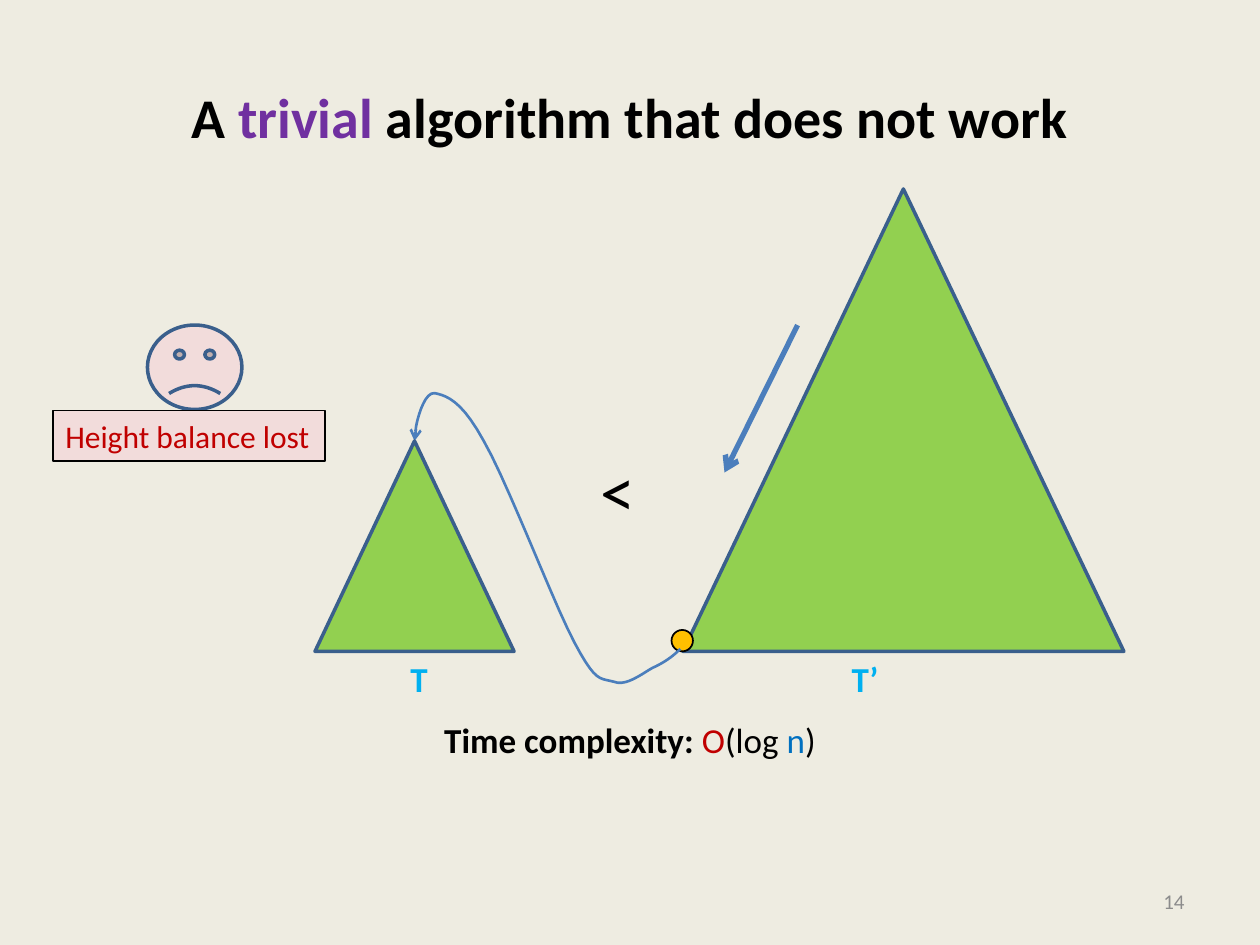
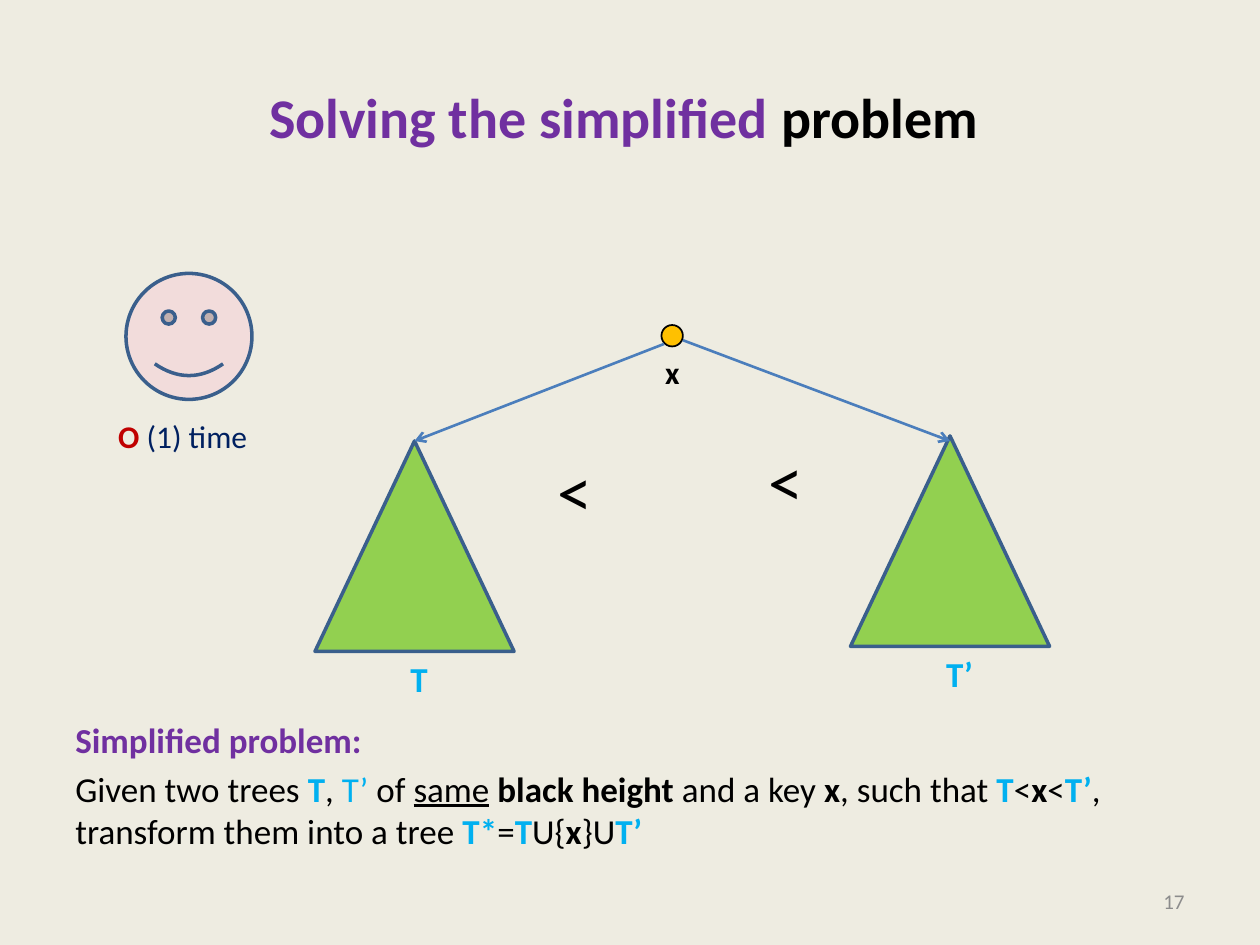
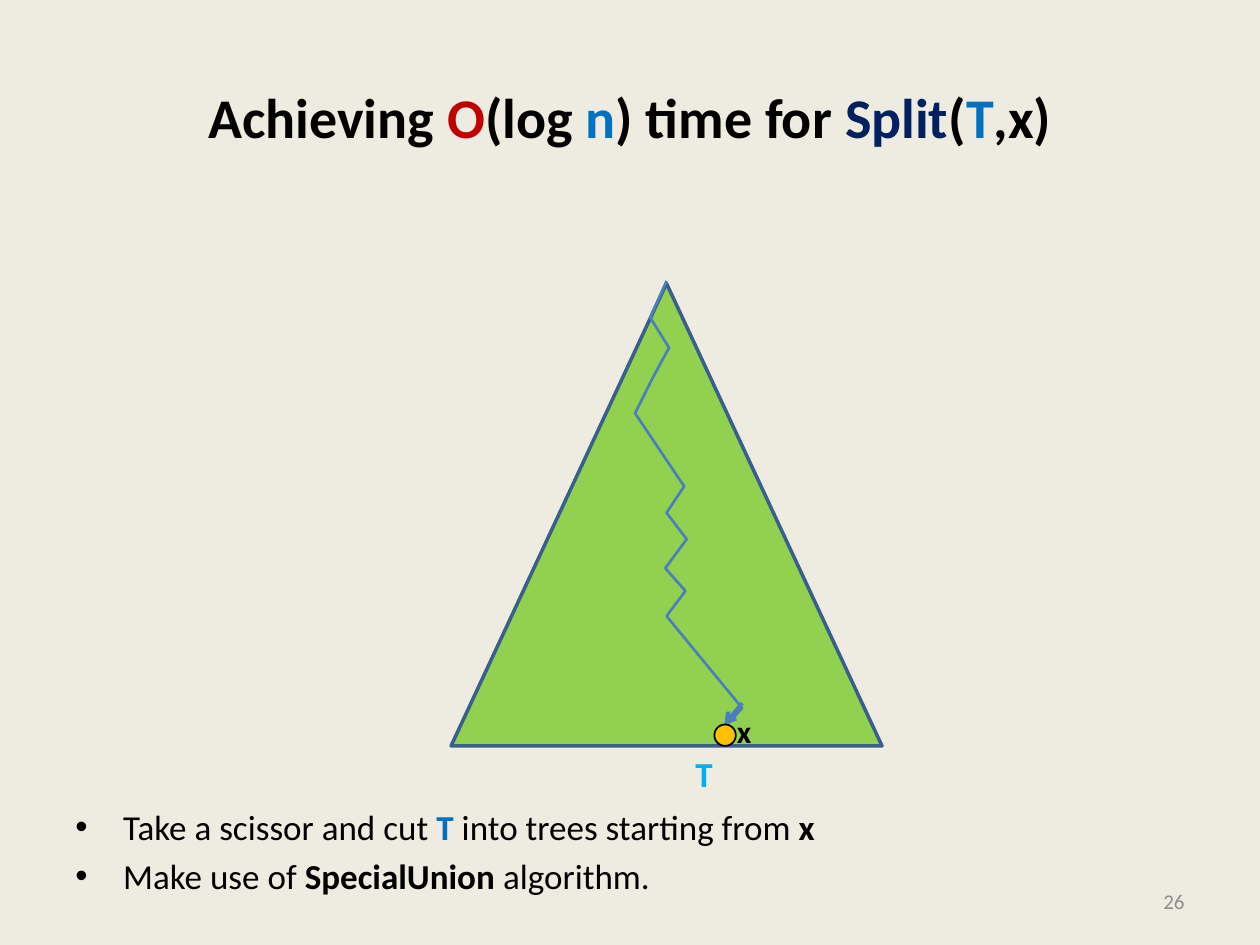
from pptx import Presentation
from pptx.dml.color import RGBColor
from pptx.enum.shapes import MSO_CONNECTOR, MSO_SHAPE
from pptx.enum.text import MSO_ANCHOR, PP_ALIGN
from pptx.oxml.ns import qn
from pptx.util import Inches, Pt
from lxml import etree

# Shared look
FONT = "Calibri"
BACKGROUND = RGBColor(0xEE, 0xEC, 0xE1)
BLACK = RGBColor(0, 0, 0)
GRAY = RGBColor(0x8C, 0x8C, 0x8C)
PURPLE = RGBColor(0x70, 0x30, 0xA0)
RED = RGBColor(0xC0, 0, 0)
BLUE = RGBColor(0, 0x70, 0xC0)
SKY = RGBColor(0, 0xB0, 0xF0)
NAVY = RGBColor(0, 0x20, 0x60)
GREEN = RGBColor(0x92, 0xD0, 0x50)
GOLD = RGBColor(0xFF, 0xC0, 0)
PINK = RGBColor(0xF2, 0xDC, 0xDB)
OUTLINE = RGBColor(0x3A, 0x5F, 0x8C)
ARROW = RGBColor(0x4B, 0x7E, 0xBC)

TRIANGLE, OVAL, SMILEY = MSO_SHAPE.ISOSCELES_TRIANGLE, MSO_SHAPE.OVAL, MSO_SHAPE.SMILEY_FACE
STRAIGHT = MSO_CONNECTOR.STRAIGHT
LEFT, CENTER, RIGHT = PP_ALIGN.LEFT, PP_ALIGN.CENTER, PP_ALIGN.RIGHT
TOP, MIDDLE = MSO_ANCHOR.TOP, MSO_ANCHOR.MIDDLE

SMALL_TREE = (1.58, 1.67)
DOT = 0.17
BULLET_INDENT = 0.38

# Content: a run is (text, colour, style), style letters b = bold, u = underlined
TRIVIAL_TITLE = [("A ", BLACK, "b"), ("trivial", PURPLE, "b"),
                 (" algorithm that does not work", BLACK, "b")]
SIMPLIFIED_TITLE = [("Solving the simplified", PURPLE, "b"), (" problem ", BLACK, "b")]
SPLIT_TITLE = [("Achieving ", BLACK, "b"), ("O", RED, "b"), ("(log ", BLACK, "b"),
               ("n", BLUE, "b"), (") time for ", BLACK, "b"), ("Split", NAVY, "b"),
               ("(", BLACK, "b"), ("T", BLUE, "b"), (",x)", BLACK, "b")]

COMPLEXITY = [[("Time complexity: ", BLACK, "b"), ("O", RED, ""), ("(log ", BLACK, ""),
               ("n", BLUE, ""), (")", BLACK, "")]]
PROBLEM = [
    [("Simplified problem: ", PURPLE, "b")],
    [("Given two trees ", BLACK, ""), ("T", SKY, "b"), (", ", BLACK, ""), ("T’", SKY, ""),
     (" of ", BLACK, ""), ("same", BLACK, "u"), (" ", BLACK, ""),
     ("black height ", BLACK, "b"), ("and a key ", BLACK, ""), ("x", BLACK, "b"),
     (", such that ", BLACK, ""), ("T", SKY, "b"), ("<", BLACK, ""), ("x", BLACK, "b"),
     ("<", BLACK, ""), ("T’", SKY, "b"), (", transform them into a tree ", BLACK, ""),
     ("T*", SKY, "b"), ("=", BLACK, ""), ("T", SKY, "b"), ("U{", BLACK, ""),
     ("x", BLACK, "b"), ("}U", BLACK, ""), ("T’", SKY, "b")],
]
SPLIT_STEPS = [
    [("Take a scissor and cut ", BLACK, ""), ("T", BLUE, "b"),
     (" into trees starting from ", BLACK, ""), ("x", BLACK, "b")],
    [("Make use of ", BLACK, ""), ("SpecialUnion ", BLACK, "b"), ("algorithm.", BLACK, "")],
]

# Curve from the leftmost node to the small tree: start, then Bezier triples
CURVE_START = (5.4, 5.15)
CURVE = [
    ((5.34, 5.21), (5.27, 5.26), (5.18, 5.3)),
    ((5.09, 5.35), (4.97, 5.45), (4.87, 5.41)),
    ((4.76, 5.38), (4.73, 5.42), (4.56, 5.1)),
    ((4.39, 4.78), (4.03, 3.83), (3.84, 3.5)),
    ((3.66, 3.17), (3.54, 3.14), (3.45, 3.12)),
    ((3.36, 3.11), (3.3, 3.37), (3.3, 3.41)),
]
CUT_PATH = [(5.29, 2.23), (5.16, 2.52), (5.31, 2.76), (5.18, 3), (5.04, 3.28), (5.43, 3.86),
            (5.29, 4.07), (5.45, 4.28), (5.28, 4.51), (5.44, 4.69), (5.29, 4.89),
            (5.89, 5.62), (5.78, 5.74)]

presentation = Presentation()
presentation.slide_width, presentation.slide_height = Inches(10), Inches(7.5)
master_fill = presentation.slide_master.background.fill
master_fill.solid()
master_fill.fore_color.rgb = BACKGROUND


def add_text(slide, box, paragraphs, size, align=LEFT, anchor=TOP, wrap=False, bullets=False):
    shape = slide.shapes.add_textbox(*map(Inches, box))
    frame = shape.text_frame
    frame.word_wrap, frame.vertical_anchor = wrap, anchor
    for index, runs in enumerate(paragraphs):
        paragraph = frame.add_paragraph() if index else frame.paragraphs[0]
        paragraph.alignment = align
        paragraph.space_before = Pt(size * 0.2 if index else 0)
        for text, color, style in runs:
            run = paragraph.add_run()
            run.text = text
            run.font.name, run.font.size = FONT, Pt(size)
            run.font.color.rgb = color
            run.font.bold, run.font.underline = "b" in style, "u" in style
        if bullets:
            properties = paragraph._p.get_or_add_pPr()
            properties.set("marL", str(Inches(BULLET_INDENT)))
            properties.set("indent", str(-Inches(BULLET_INDENT)))
            etree.SubElement(properties, qn("a:buFont")).set("typeface", "Arial")
            etree.SubElement(properties, qn("a:buChar")).set("char", "•")
    return shape


def paint(shape, fill, line, width):
    shape.fill.solid()
    shape.fill.fore_color.rgb = fill
    shape.line.color.rgb = line
    shape.line.width = Pt(width)


def add_figure(slide, kind, box, fill, line=OUTLINE, width=2):
    shape = slide.shapes.add_shape(kind, *map(Inches, box))
    shape.shadow.inherit = False
    paint(shape, fill, line, width)
    return shape


def add_tree(slide, left, top, size, name, label_offset):
    """A triangle with its name under the base."""
    width, height = size
    add_figure(slide, TRIANGLE, (left, top, width, height), GREEN)
    label_width = 0.34 if name == "T" else 0.42
    add_text(slide, (left + label_offset, top + height, label_width, 0.44),
             [[(name, SKY, "b")]], 20)


def add_node(slide, left, top):
    add_figure(slide, OVAL, (left, top, DOT, DOT), GOLD, BLACK, 1)


def add_smiley(slide, box, mouth):
    add_figure(slide, SMILEY, box, PINK).adjustments[0] = mouth


def add_less_than(slide, left, top):
    add_text(slide, (left, top, 0.48, 0.77), [[("<", BLACK, "")]], 40)


def add_key(slide, left, top):
    add_text(slide, (left, top, 0.32, 0.4), [[("x", BLACK, "b")]], 18)


def add_arrow(slide, start, end, width=1.5):
    connector = slide.shapes.add_connector(STRAIGHT, *map(Inches, start + end))
    connector.line.color.rgb = ARROW
    connector.line.width = Pt(width)
    etree.SubElement(connector.line._get_or_add_ln(), qn("a:tailEnd")).set("type", "arrow")
    etree.SubElement(connector._element.spPr, qn("a:effectLst"))


def add_path(slide, points):
    corners = [(Inches(x), Inches(y)) for x, y in points]
    builder = slide.shapes.build_freeform(*corners[0])
    builder.add_line_segments(corners[1:], close=False)
    shape = builder.convert_to_shape()
    shape.shadow.inherit = False
    shape.fill.background()
    shape.line.color.rgb = ARROW
    shape.line.width = Pt(1.5)


def curve_points(start, segments, steps=10):
    points = [start]
    for first, second, end in segments:
        corners = (points[-1], first, second, end)
        for step in range(1, steps + 1):
            t = step / steps
            weights = ((1 - t) ** 3, 3 * t * (1 - t) ** 2, 3 * t * t * (1 - t), t ** 3)
            points.append(tuple(sum(w * corner[axis] for w, corner in zip(weights, corners))
                                for axis in (0, 1)))
    return points


def add_slide(title, number, body, body_top, **body_options):
    slide = presentation.slides.add_slide(presentation.slide_layouts[6])
    add_text(slide, (0.5, 0.3, 9, 1.25), [title], 32, CENTER, MIDDLE, True)
    add_text(slide, (0.5, body_top, 9, 1), body, 20, wrap=True, **body_options)
    add_text(slide, (7.17, 6.95, 2.33, 0.4), [[(number, GRAY, "")]], 12, RIGHT, MIDDLE, True)
    return slide


# Slide 1: hanging the small tree under the leftmost node
slide = add_slide(TRIVIAL_TITLE, "14", COMPLEXITY, 5.65, align=CENTER)
add_tree(slide, 5.42, 1.5, (3.5, 3.67), "T’", 1.24)
add_node(slide, 5.33, 5)
add_path(slide, curve_points(CURVE_START, CURVE))
add_arrow(slide, (3.3, 3.41), (3.29, 3.5))
add_tree(slide, 2.5, 3.5, SMALL_TREE, "T", 0.66)
add_less_than(slide, 4.67, 3.5)
add_arrow(slide, (6.33, 2.58), (5.75, 3.75), 3)
add_smiley(slide, (1.17, 2.58, 0.75, 0.67), -0.047)
verdict = add_text(slide, (0.42, 3.26, 2.16, 0.4), [[("Height balance lost", RED, "")]], 18)
paint(verdict, PINK, BLACK, 0.75)

# Slide 2: joining two trees of equal black height under x
slide = add_slide(SIMPLIFIED_TITLE, "17", PROBLEM, 5.65)
add_tree(slide, 2.5, 3.5, SMALL_TREE, "T", 0.66)
add_smiley(slide, (1, 2.17, 1, 1), 0.047)
add_text(slide, (0.84, 3.26, 1.24, 0.4), [[("O ", RED, "b"), ("(1) time", NAVY, "")]], 18)
add_tree(slide, 6.75, 3.46, SMALL_TREE, "T’", 0.66)
add_node(slide, 5.25, 2.58)
add_less_than(slide, 4.33, 3.5)
add_less_than(slide, 6, 3.42)
add_key(slide, 5.18, 2.75)
add_arrow(slide, (5.27, 2.73), (3.29, 3.5))
add_arrow(slide, (5.42, 2.7), (7.54, 3.5))

# Slide 3: cutting the tree along the path to x
slide = add_slide(SPLIT_TITLE, "26", SPLIT_STEPS, 6.34, bullets=True)
add_tree(slide, 3.58, 2.25, (3.42, 3.67), "T", 1.84)
add_path(slide, CUT_PATH)
add_arrow(slide, (5.89, 5.58), (5.75, 5.75), 2.25)
add_node(slide, 5.67, 5.75)
add_key(slide, 5.75, 5.6)

presentation.save("out.pptx")
